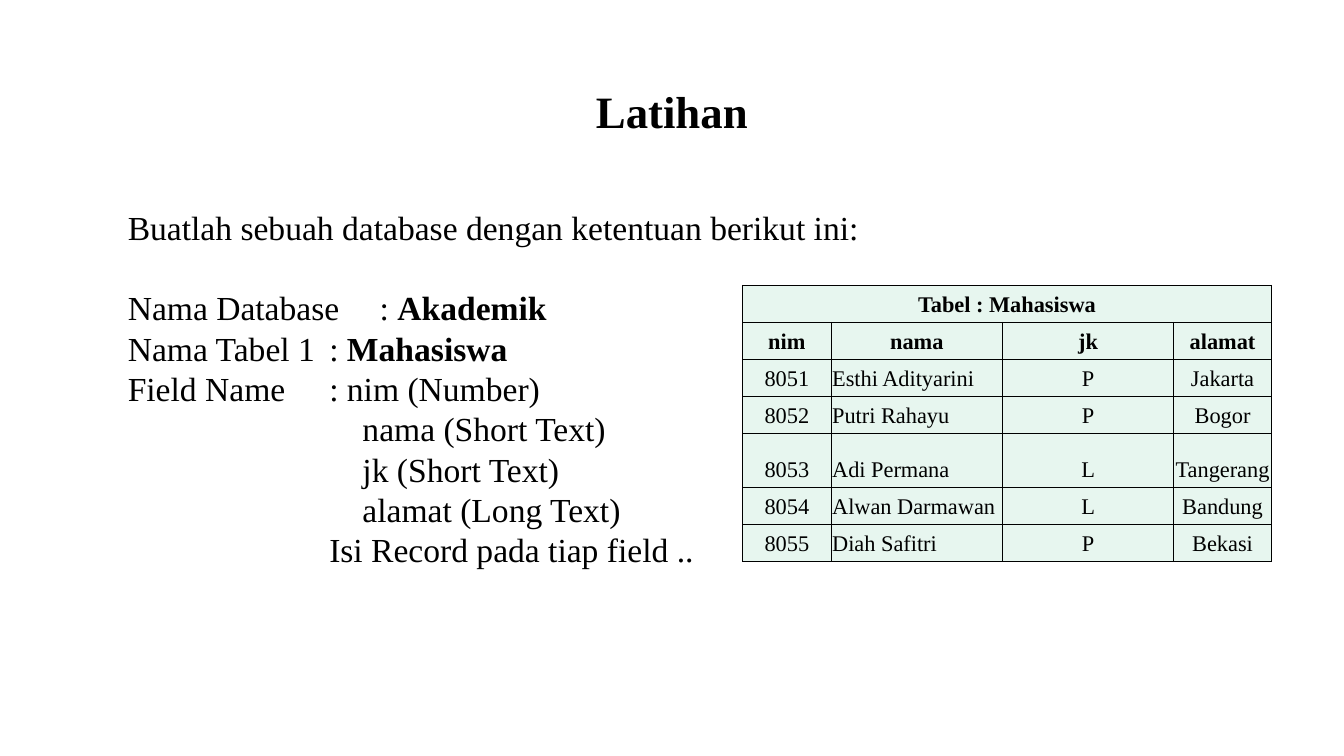
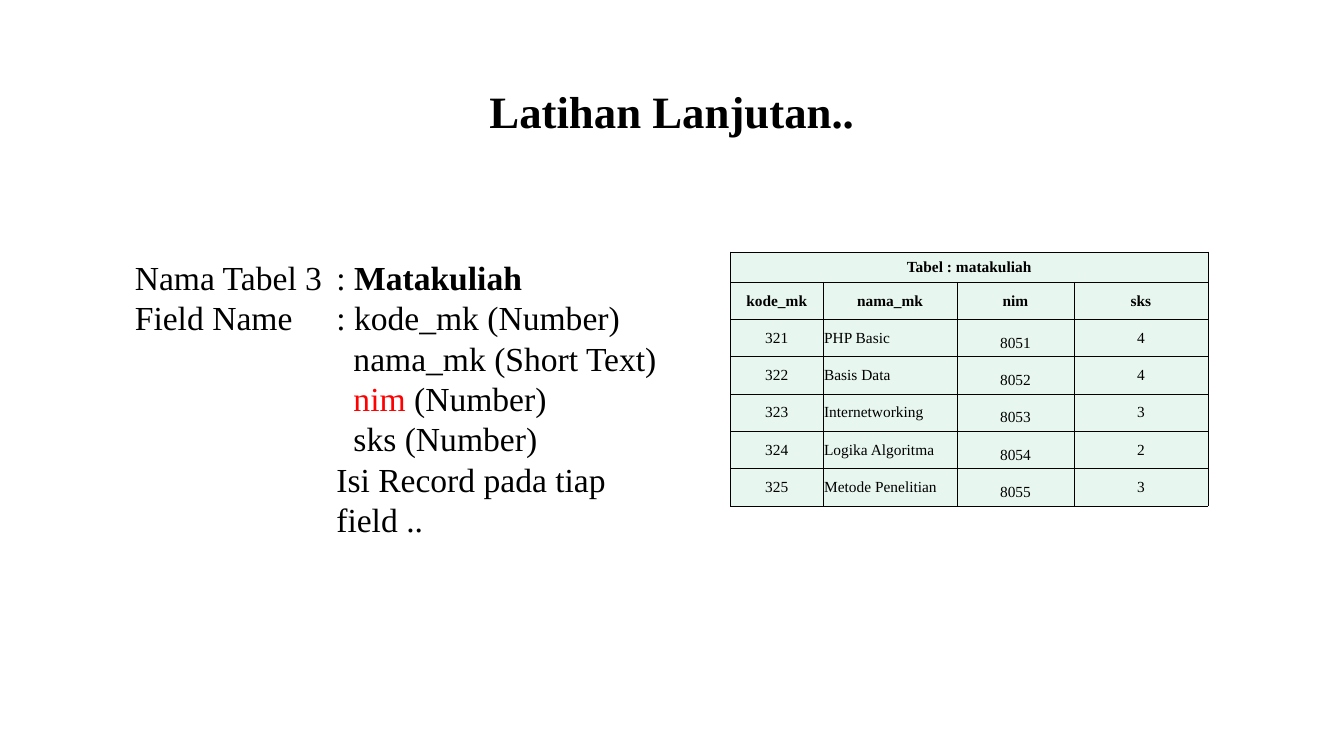
from lxml.etree import SubElement
from pptx import Presentation
from pptx.dml.color import RGBColor
from pptx.enum.text import MSO_ANCHOR, PP_ALIGN
from pptx.oxml.ns import qn
from pptx.util import Inches, Pt

BLACK = RGBColor(0x00, 0x00, 0x00)
RED = RGBColor(0xFF, 0x00, 0x00)
MINT = RGBColor(0xE7, 0xF6, 0xEF)
FONT = "Times New Roman"
TITLE_SIZE = 32
BODY_SIZE = 24
LINE_RATIO = 1.2
BORDER_WIDTH = Pt(0.45)

# Each body line is (indent in inches, runs); each run is (text, bold, colour)
slides = [
    {
        "title": "Latihan",
        "body_box": (1.17, 2, 9.5, 3.7),
        "tab": 2.18,
        "intro": True,
        "lines": [
            (0, [("Buatlah sebuah database dengan ketentuan berikut ini:", False, BLACK)]),
            (0, [("Nama Database\t: ", False, BLACK), ("Akademik", True, BLACK)]),
            (0, [("Nama Tabel 1\t: ", False, BLACK), ("Mahasiswa", True, BLACK)]),
            (0, [("Field Name\t: nim (Number)", False, BLACK)]),
            (2.33, [("nama (Short Text)", False, BLACK)]),
            (2.33, [("jk (Short Text)", False, BLACK)]),
            (2.33, [("alamat (Long Text)", False, BLACK)]),
            (2, [("Isi Record pada tiap field ..", False, BLACK)]),
        ],
        "table_at": (7.37, 2.83),
        "columns": [0.88, 1.7, 1.7, 0.97],
        "rows": [0.36, 0.36, 0.36, 0.36, 0.54, 0.36, 0.36],
        "size": 16,
        "anchor": MSO_ANCHOR.BOTTOM,
        "cells": [
            ["Tabel : Mahasiswa"],
            ["nim", "nama", "jk", "alamat"],
            ["8051", "Esthi Adityarini", "P", "Jakarta"],
            ["8052", "Putri Rahayu", "P", "Bogor"],
            ["8053", "Adi Permana", "L", "Tangerang"],
            ["8054", "Alwan Darmawan", "L", "Bandung"],
            ["8055", "Diah Safitri", "P", "Bekasi"],
        ],
    },
    {
        "title": "Latihan Lanjutan..",
        "body_box": (1.24, 2.5, 5.42, 2.9),
        "tab": 2,
        "intro": False,
        "lines": [
            (0, [("Nama Tabel 3\t: ", False, BLACK), ("Matakuliah", True, BLACK)]),
            (0, [("Field Name\t: kode_mk (Number)", False, BLACK)]),
            (2.17, [("nama_mk (Short Text)", False, BLACK)]),
            (2.17, [("nim", False, RED), (" (Number)", False, BLACK)]),
            (2.17, [("sks (Number)", False, BLACK)]),
            (2, [("Isi Record pada tiap field ..", False, BLACK)]),
        ],
        "table_at": (7.25, 2.5),
        "columns": [0.92, 1.33, 1.16, 1.33],
        "rows": [0.3] + [0.37] * 6,
        "size": 11,
        "anchor": MSO_ANCHOR.MIDDLE,
        "cells": [
            ["Tabel : matakuliah"],
            ["kode_mk", "nama_mk", "nim", "sks"],
            ["321", "PHP Basic", "8051", "4"],
            ["322", "Basis Data", "8052", "4"],
            ["323", "Internetworking", "8053", "3"],
            ["324", "Logika Algoritma", "8054", "2"],
            ["325", "Metode Penelitian", "8055", "3"],
        ],
    },
]


def add_run(paragraph, text, size, bold, color=BLACK):
    run = paragraph.add_run()
    run.text = text
    run.font.name = FONT
    run.font.size = Pt(size)
    run.font.bold = bold
    run.font.color.rgb = color


def add_text_frame(slide, box):
    shape = slide.shapes.add_textbox(*[Inches(length) for length in box])
    shape.text_frame.word_wrap = True
    return shape.text_frame


presentation = Presentation()
presentation.slide_width = Inches(13.34)
presentation.slide_height = Inches(7.5)

for content in slides:
    slide = presentation.slides.add_slide(presentation.slide_layouts[6])

    # Title
    paragraph = add_text_frame(slide, (3.34, 0.78, 6.66, 0.64)).paragraphs[0]
    paragraph.alignment = PP_ALIGN.CENTER
    paragraph.line_spacing = Pt(TITLE_SIZE * LINE_RATIO)
    add_run(paragraph, content["title"], TITLE_SIZE, True)

    # Instructions, with the colons lined up on a tab stop
    text_frame = add_text_frame(slide, content["body_box"])
    for index, (indent, runs) in enumerate(content["lines"]):
        paragraph = text_frame.add_paragraph() if index else text_frame.paragraphs[0]
        paragraph.line_spacing = Pt(BODY_SIZE * LINE_RATIO)
        if index == 0 and content["intro"]:
            paragraph.space_after = Pt(BODY_SIZE * LINE_RATIO)
        properties = paragraph._p.get_or_add_pPr()
        properties.set("marL", str(Inches(indent)))
        properties.set("indent", "0")
        tab_list = SubElement(properties, qn("a:tabLst"))
        SubElement(tab_list, qn("a:tab"), pos=str(Inches(content["tab"])), algn="l")
        for text, bold, color in runs:
            add_run(paragraph, text, BODY_SIZE, bold, color)

    # Table
    left, top = content["table_at"]
    columns, rows = content["columns"], content["rows"]
    table = slide.shapes.add_table(
        len(rows), len(columns), Inches(left), Inches(top),
        Inches(sum(columns)), Inches(sum(rows))).table
    table.first_row = False
    table.horz_banding = False
    for column, width in zip(table.columns, columns):
        column.width = Inches(width)
    for row, height in zip(table.rows, rows):
        row.height = Inches(height)
    table.cell(0, 0).merge(table.cell(0, len(columns) - 1))

    for row_index, row in enumerate(table.rows):
        texts = content["cells"][row_index]
        is_record = row_index > 1
        for column_index, cell in enumerate(row.cells):
            cell.margin_left = cell.margin_right = Inches(0.01)
            cell.margin_top = cell.margin_bottom = Inches(0.05)
            cell.vertical_anchor = content["anchor"]
            if is_record and column_index == 2:
                cell.vertical_anchor = MSO_ANCHOR.BOTTOM

            # Borders come before the fill in the cell properties
            cell_properties = cell._tc.get_or_add_tcPr()
            for side in ("a:lnL", "a:lnR", "a:lnT", "a:lnB"):
                line = SubElement(cell_properties, qn(side), w=str(BORDER_WIDTH))
                line_fill = SubElement(line, qn("a:solidFill"))
                SubElement(line_fill, qn("a:srgbClr"), val=str(BLACK))
            cell.fill.solid()
            cell.fill.fore_color.rgb = MINT

            if column_index < len(texts):
                paragraph = cell.text_frame.paragraphs[0]
                is_name = is_record and column_index == 1
                paragraph.alignment = PP_ALIGN.LEFT if is_name else PP_ALIGN.CENTER
                add_run(paragraph, texts[column_index], content["size"], not is_record)

presentation.save("out.pptx")
